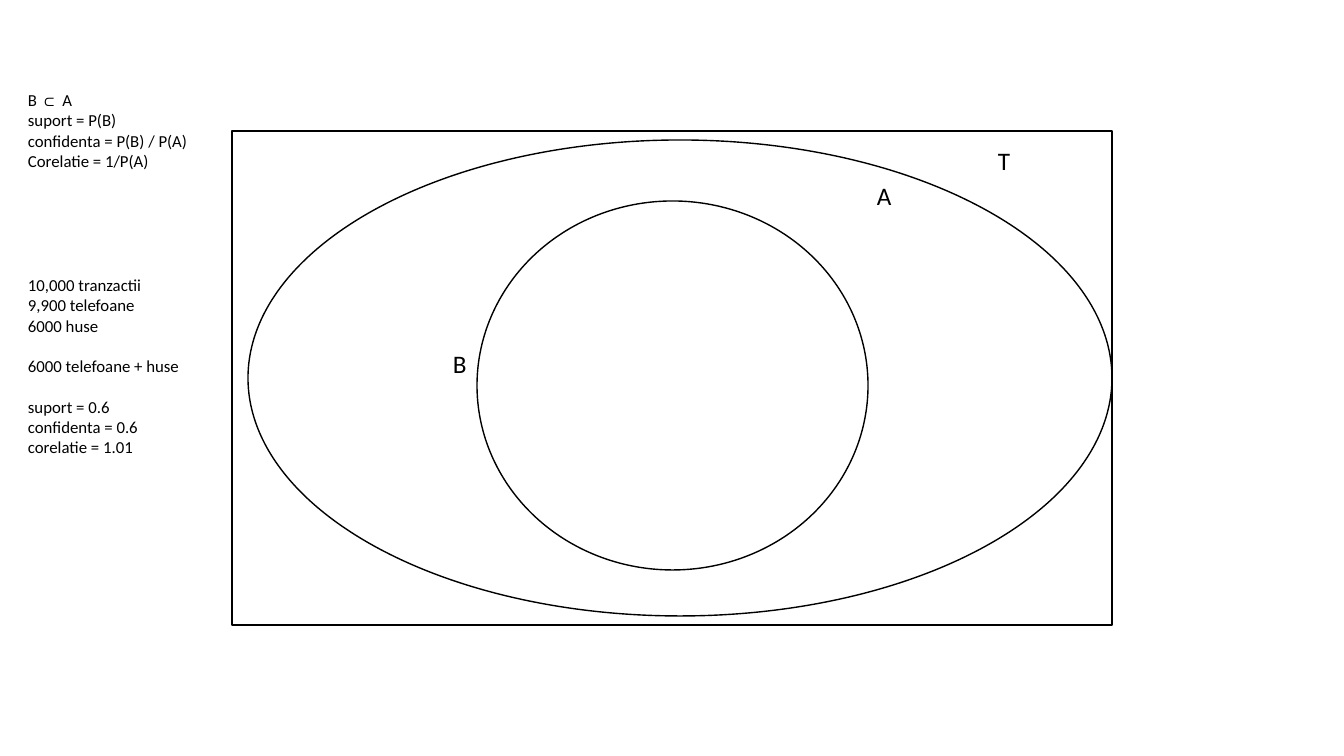
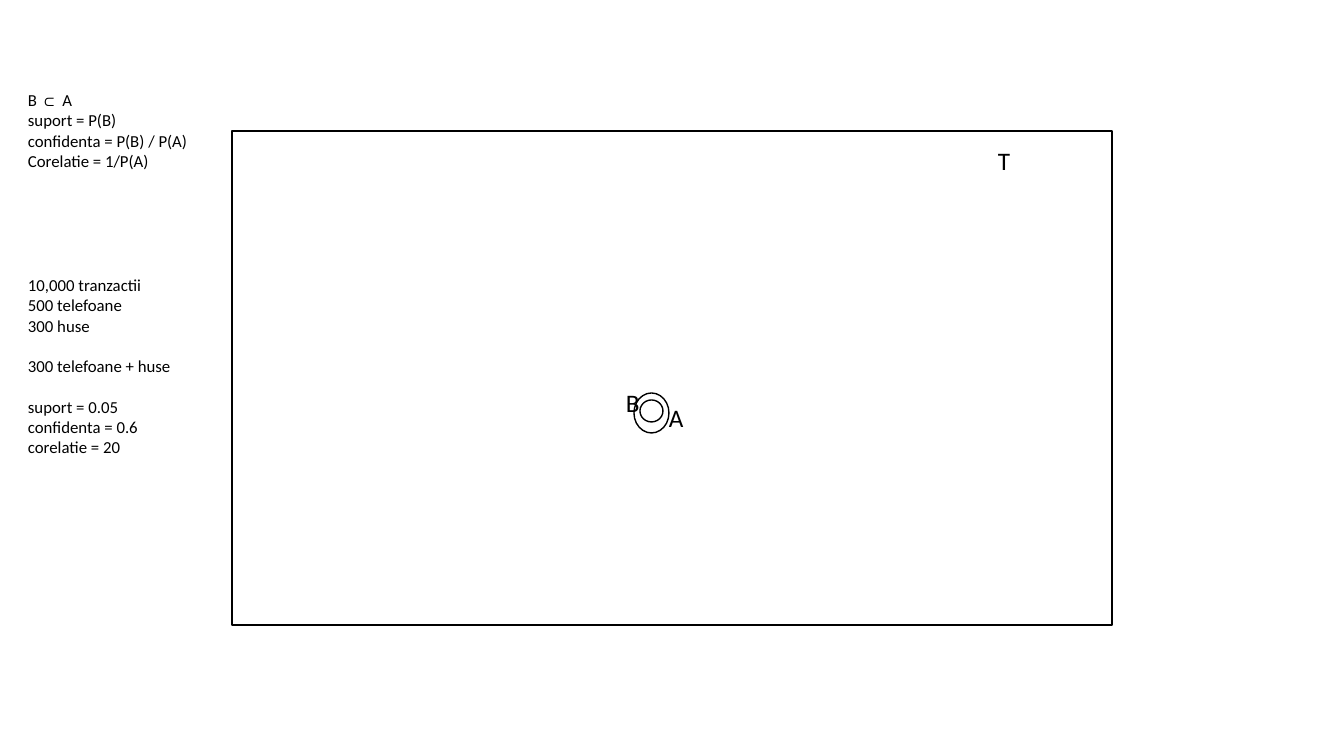
from pptx import Presentation
from pptx import util as u
from pptx.dml.color import RGBColor
from pptx.enum import shapes, text

EMU_PER_PIXEL = 914400 / 100.8
BLACK, WHITE = "000000", "FFFFFF"
BODY_FONT, SYMBOL_FONT = "Calibri", "Arial"
NOTE_SIZE, LABEL_SIZE = 12, 18
GROUP_GAP = 14.6

UNIVERSE = (232, 131, 880, 494)
FORMULAS = (18, 85, 198, 92)
EXAMPLE = (18, 270, 198, 194)
LABEL_SIZES = {"T": (32, 72), "A": (35, 40), "B": (34, 72)}
T_LABEL = (756, 9)

FORMULA_GROUPS = [[
    [("B ", BODY_FONT), ("\u2282 ", SYMBOL_FONT), ("A", BODY_FONT)],
    "suport = P(B)",
    "confidenta = P(B) / P(A)",
    "Corelatie = 1/P(A) ",
]]

# Sets and labels are placed relative to the universe rectangle.
CASES = [
    {
        "set_a": (16, 9, 864, 476), "set_b": (245, 70, 391, 369),
        "labels": {"A": (635, 44), "B": (211, 212)},
        "example": [
            ["10,000 tranzactii", "9,900 telefoane", "6000 huse"],
            ["6000 telefoane + huse"],
            ["suport = 0.6", "confidenta = 0.6", "corelatie = 1.01"],
        ],
    },
    {
        "set_a": (402, 262, 35, 40), "set_b": (408, 269, 23, 22),
        "labels": {"A": (427, 266), "B": (384, 251)},
        "example": [
            ["10,000 tranzactii", "500 telefoane", "300 huse"],
            ["300 telefoane + huse"],
            ["suport = 0.05", "confidenta = 0.6", "corelatie = 20"],
        ],
    },
]


def px(length):
    """Turn pixels into EMU."""
    return u.Emu(round(length * EMU_PER_PIXEL))


def color(hex_value):
    """Turn a hex string into a colour."""
    return RGBColor.from_string(hex_value)


def inside(box, part):
    """Shift a part's left and top from its box to the slide."""
    return (box[0] + part[0], box[1] + part[1], *part[2:])


def add_outline(slide, kind, box, fill=None):
    """Draw a thin black outline, hollow unless a fill is given."""
    outline = slide.shapes.add_shape(kind, *map(px, box))
    outline.shadow.inherit = False
    if fill:
        outline.fill.solid()
        outline.fill.fore_color.rgb = color(fill)
    else:
        outline.fill.background()
    outline.line.color.rgb = color(BLACK)
    outline.line.width = u.Pt(1)


def add_run(paragraph, words, size, font=BODY_FONT):
    """Append one black run."""
    run = paragraph.add_run()
    run.text = words
    run.font.name = font
    run.font.size = u.Pt(size)
    run.font.color.rgb = color(BLACK)


def add_frame(slide, box, wrap):
    """Add a text box that grows with its text and return its frame."""
    frame = slide.shapes.add_textbox(*map(px, box)).text_frame
    frame.word_wrap = wrap
    frame.auto_size = text.MSO_AUTO_SIZE.SHAPE_TO_FIT_TEXT
    return frame


def add_notes_panel(slide, box, groups):
    """Write groups of lines, with one line of space between groups."""
    frame = add_frame(slide, box, wrap=True)
    paragraph = None
    for group in groups:
        for position, line in enumerate(group):
            new_group = paragraph is not None and position == 0
            paragraph = frame.add_paragraph() if paragraph else frame.paragraphs[0]
            if new_group:
                paragraph.space_before = u.Pt(GROUP_GAP)
            runs = [(line, BODY_FONT)] if isinstance(line, str) else line
            for words, font in runs:
                add_run(paragraph, words, NOTE_SIZE, font)


def add_venn(slide, box, case):
    """Draw set B within set A within the universe T, and name them."""
    ellipse = shapes.MSO_SHAPE.OVAL
    add_outline(slide, ellipse, inside(box, case["set_b"]), WHITE)
    add_outline(slide, shapes.MSO_SHAPE.RECTANGLE, box)
    add_outline(slide, ellipse, inside(box, case["set_a"]))
    for letter, corner in {"T": T_LABEL, **case["labels"]}.items():
        label_box = inside(box, corner + LABEL_SIZES[letter])
        label = add_frame(slide, label_box, wrap=False)
        add_run(label.paragraphs[0], letter, LABEL_SIZE)


def add_case_slide(deck, case):
    """Build one slide: diagram, formulas and worked example."""
    slide = deck.slides.add_slide(deck.slide_layouts[6])
    add_venn(slide, UNIVERSE, case)
    add_notes_panel(slide, FORMULAS, FORMULA_GROUPS)
    add_notes_panel(slide, EXAMPLE, case["example"])


deck = Presentation()
deck.slide_width, deck.slide_height = px(1344), px(756)
for case in CASES:
    add_case_slide(deck, case)
deck.save("out.pptx")
